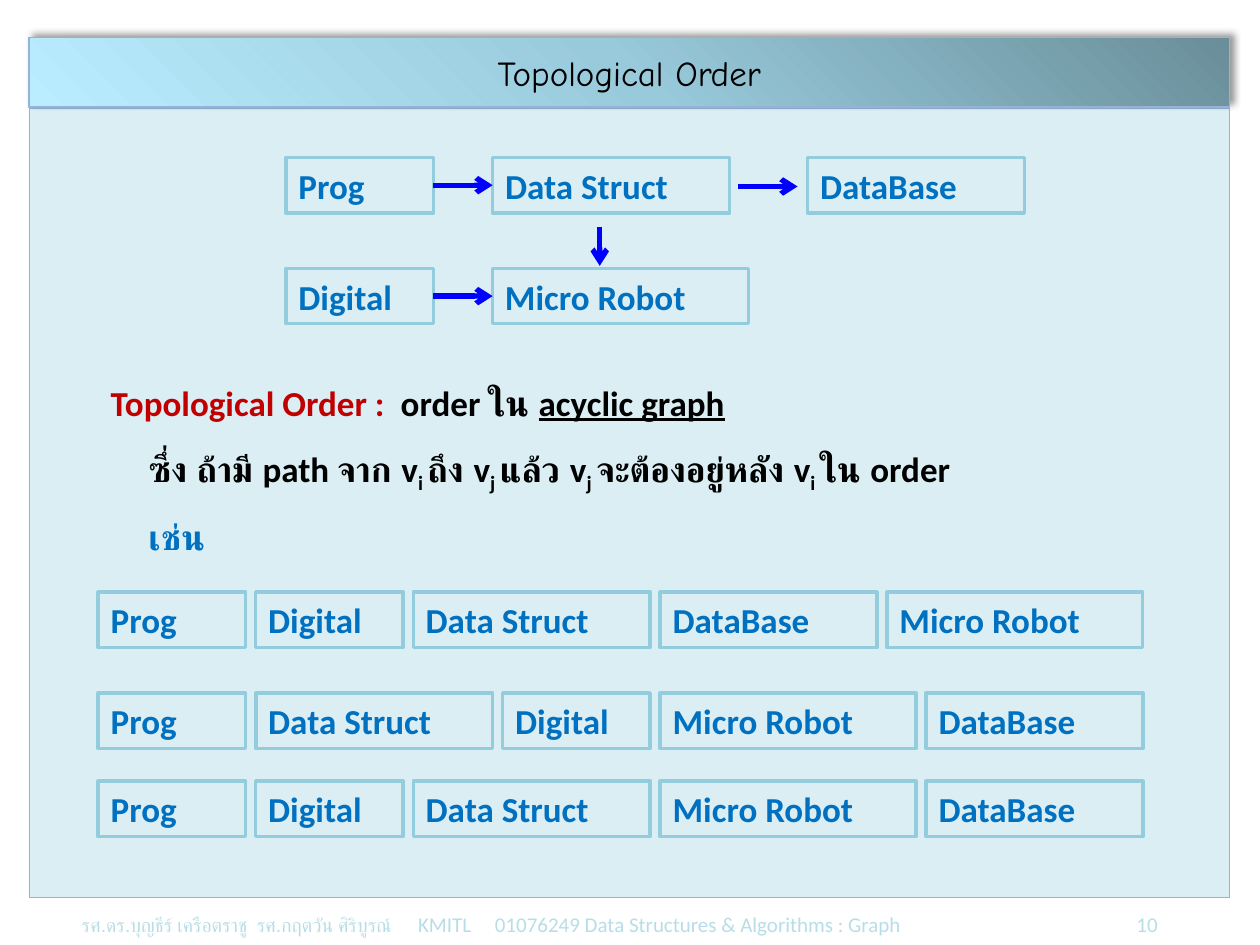
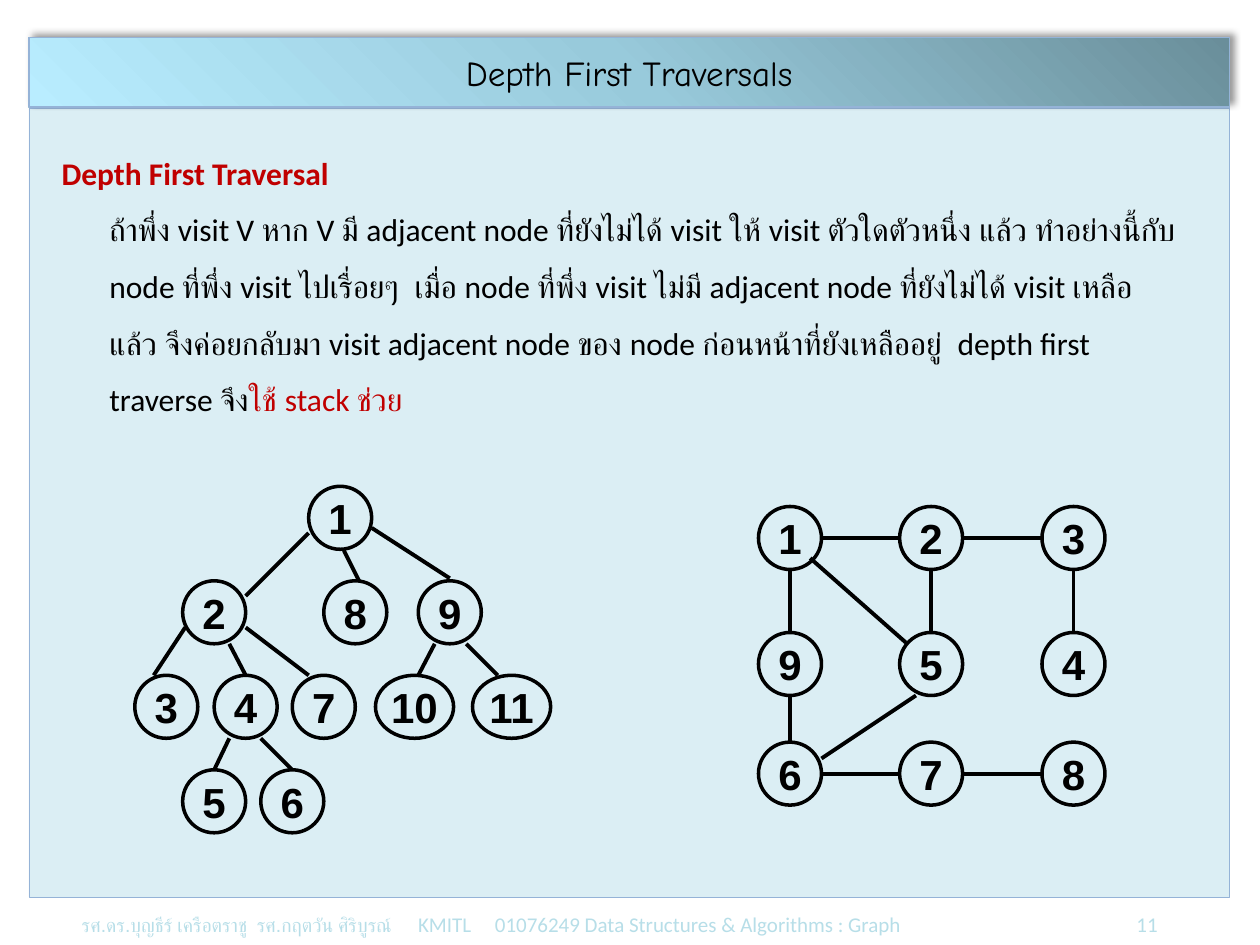
from lxml.etree import SubElement
from pptx import Presentation
from pptx.dml.color import RGBColor
from pptx.enum.shapes import MSO_CONNECTOR as LINK, MSO_SHAPE as SHAPE
from pptx.enum.text import MSO_ANCHOR as ANCHOR, PP_ALIGN as ALIGN
from pptx.oxml.ns import qn
from pptx.util import Pt

EMU_PER_PX = 9144
COLORS = {
    "panel": "DBEEF4", "frame": "95B3D7", "footer": "B7DEE8",
    "band_dark": "6A8E9A", "band_mid": "98CADB", "band_light": "B9EDFF",
    "course_line": "93CDDD", "course": "0070C0", "arrow": "0000FF",
    "term": "C00000", "ink": "000000",
}
COURSE_WIDTHS = {"Prog": 117, "Digital": 117, "Data Struct": 188,
                 "DataBase": 172, "Micro Robot": 203}
COURSE_HEIGHT = 44
COURSE_GAP = 8
NODE = 50
BREAK = None


def px(length):
    """Turn px into EMU."""
    return round(length * EMU_PER_PX)


def rgb(name):
    """Look up a colour by its name."""
    return RGBColor.from_string(COLORS[name])


def child(parent, tag, **attributes):
    """Append one XML element to its parent."""
    return SubElement(parent, qn(tag), {key: str(value) for key, value in attributes.items()})


def add_run(paragraph, text, size, color, font="Calibri", bold=False, underline=False, sub=False):
    """Add one styled run."""
    run = paragraph.add_run()
    run.text = text
    run.font.size = Pt(size)
    run.font.name = font
    run.font.bold = bold
    run.font.underline = underline
    run.font.color.rgb = rgb(color)
    if sub:
        run._r.get_or_add_rPr().set("baseline", "-25000")


def add_outline(slide, kind, left, top, width, height, line, weight, fill=None):
    """Add a preset shape with a plain line and an optional fill."""
    shape = slide.shapes.add_shape(kind, px(left), px(top), px(width), px(height))
    shape.shadow.inherit = False
    if fill:
        shape.fill.solid()
        shape.fill.fore_color.rgb = rgb(fill)
    else:
        shape.fill.background()
    shape.line.color.rgb = rgb(line)
    shape.line.width = Pt(weight)
    return shape


def add_textbox(slide, left, top, width, height):
    """Add a wrapping text box and give back its first paragraph."""
    frame = slide.shapes.add_textbox(px(left), px(top), px(width), px(height)).text_frame
    frame.word_wrap = True
    return frame.paragraphs[0]


def add_title(slide, title):
    """Add the shaded title band."""
    band = add_outline(slide, SHAPE.RECTANGLE, 23, 30, 953, 55, "frame", 0.75)
    properties = band._element.spPr
    properties.remove(properties.find(qn("a:noFill")))
    gradient = child(properties, "a:gradFill", rotWithShape=1)
    properties.find(qn("a:prstGeom")).addnext(gradient)
    stops = child(gradient, "a:gsLst")
    for position, name in ((0, "band_dark"), (50000, "band_mid"), (100000, "band_light")):
        child(child(stops, "a:gs", pos=position), "a:srgbClr", val=COLORS[name])
    child(gradient, "a:lin", ang=135 * 60000, scaled=0)
    shadow = child(properties.find(qn("a:effectLst")), "a:outerShdw", blurRad=Pt(4),
                   dist=Pt(3), dir=315 * 60000, algn="bl", rotWithShape=0)
    child(child(shadow, "a:srgbClr", val=COLORS["ink"]), "a:alpha", val=40000)
    band.text_frame.vertical_anchor = ANCHOR.MIDDLE
    paragraph = band.text_frame.paragraphs[0]
    paragraph.alignment = ALIGN.CENTER
    add_run(paragraph, title, 20, "ink", "Comic Neue")


def add_footer(slide, number):
    """Add the lecturers, the course and the page number."""
    footer = add_textbox(slide, 55, 713, 898, 37)
    tabs = child(footer._p.get_or_add_pPr(), "a:tabLst")
    for position, side in ((267, "l"), (328, "l"), (854, "r")):
        child(tabs, "a:tab", pos=px(position), algn=side)
    add_run(footer, "รศ.ดร.บุญธีร์ เครือตราชู  รศ.กฤตวัน ศิริบูรณ์", 11, "footer", "Arial")
    add_run(footer, "\tKMITL\t01076249 Data Structures & Algorithms : Graph", 12, "footer")
    add_run(footer, "\t", 16, "footer")
    add_run(footer, str(number), 12, "footer")


def add_page(deck, title, number):
    """Add a slide with the shared panel, footer and title."""
    slide = deck.slides.add_slide(deck.slide_layouts[6])
    add_outline(slide, SHAPE.RECTANGLE, 23, 86, 953, 626, "frame", 0.25, "panel")
    add_footer(slide, number)
    add_title(slide, title)
    return slide


def add_definition(slide, bounds, hang, size, parts):
    """Add a definition with a hanging indent from its text parts."""
    paragraph = add_textbox(slide, *bounds)
    properties = paragraph._p.get_or_add_pPr()
    properties.set("marL", str(px(hang)))
    properties.set("indent", str(px(-hang)))
    paragraph.line_spacing = 1.5
    for part in parts:
        if part is BREAK:
            paragraph.add_line_break()
        else:
            text, color, style = part
            add_run(paragraph, text, size, color, **style)


def add_course(slide, name, left, top):
    """Add a framed course name."""
    course = add_outline(slide, SHAPE.RECTANGLE, left, top, COURSE_WIDTHS[name],
                         COURSE_HEIGHT, "course_line", 2)
    course.text_frame.vertical_anchor = ANCHOR.MIDDLE
    paragraph = course.text_frame.paragraphs[0]
    paragraph.alignment = ALIGN.LEFT
    add_run(paragraph, name, 20, "course", bold=True)
    return course


def add_course_order(slide, names, top):
    """Add one row of courses with equal gaps."""
    left = 78
    for name in names:
        add_course(slide, name, left, top)
        left += COURSE_WIDTHS[name] + COURSE_GAP


def add_edge(slide, x1, y1, x2, y2, color="ink", weight=2.25):
    """Add a straight line between two points."""
    edge = slide.shapes.add_connector(LINK.STRAIGHT, px(x1), px(y1), px(x2), px(y2))
    edge.line.color.rgb = rgb(color)
    edge.line.width = Pt(weight)
    child(edge._element.spPr, "a:effectLst")
    return edge


def add_arrow(slide, x1, y1, x2, y2):
    """Add a prerequisite arrow."""
    arrow = add_edge(slide, x1, y1, x2, y2, "arrow", 3)
    child(arrow.line._get_or_add_ln(), "a:tailEnd", type="arrow")
    return arrow


def add_node(slide, label, left, top, width=NODE):
    """Add a numbered graph node."""
    node = add_outline(slide, SHAPE.OVAL, left, top, width, NODE, "ink", 2)
    frame = node.text_frame
    frame.margin_left = frame.margin_right = frame.margin_top = frame.margin_bottom = 0
    frame.word_wrap = False
    frame.vertical_anchor = ANCHOR.MIDDLE
    paragraph = frame.paragraphs[0]
    paragraph.alignment = ALIGN.CENTER
    add_run(paragraph, str(label), 24, "ink", "Arial", bold=True)


def add_prerequisites(slide):
    """Draw the course graph."""
    places = {"Prog": (227, 125), "Data Struct": (391, 125), "Digital": (227, 213),
              "Micro Robot": (391, 213), "DataBase": (641, 125)}
    courses = {name: add_course(slide, name, *place) for name, place in places.items()}
    for first, then in (("Prog", "Data Struct"), ("Digital", "Micro Robot")):
        arrow = add_arrow(slide, 344, 147, 391, 147)
        arrow.begin_connect(courses[first], 3)
        arrow.end_connect(courses[then], 1)
    add_arrow(slide, 586, 148, 633, 148)
    add_arrow(slide, 476, 180, 476, 211)


def add_tree(slide):
    """Draw the depth first tree level by level."""
    levels = (
        ((1, 245),),
        ((2, 145), (8, 257), (9, 332)),
        ((3, 107), (4, 170), (7, 232), (10, 298), (11, 375)),
        ((5, 145), (6, 207)),
    )
    for depth, level in enumerate(levels):
        for label, left in level:
            add_node(slide, label, left, 386 + 75 * depth, 62 if label > 9 else NODE)
    branches = (
        (245, 423, 195, 473), (273, 437, 285, 461), (295, 419, 357, 459),
        (147, 498, 122, 536), (195, 498, 245, 536), (182, 511, 195, 536),
        (345, 511, 332, 536), (370, 511, 395, 536),
        (182, 586, 170, 611), (207, 586, 232, 611),
    )
    for branch in branches:
        add_edge(slide, *branch)


def add_graph(slide):
    """Draw the visited graph on its grid."""
    columns, rows = (602, 714, 827), (402, 502, 589)
    grid = ((1, 2, 3), (9, 5, 4), (6, 7, 8))
    places = {}
    for top, labels in zip(rows, grid):
        for left, label in zip(columns, labels):
            places[label] = left, top
            add_node(slide, label, left, top)
    half = NODE // 2
    for a, b in ((1, 2), (2, 3), (6, 7), (7, 8)):
        middle = places[a][1] + half
        add_edge(slide, places[a][0] + NODE, middle, places[b][0], middle)
    for a, b in ((1, 9), (9, 6), (2, 5), (3, 4)):
        middle = places[a][0] + half
        add_edge(slide, middle, places[a][1] + NODE, middle, places[b][1])
    add_edge(slide, 643, 443, 719, 510)
    add_edge(slide, 727, 552, 652, 602)


def add_topological_order(deck):
    """Build the topological order slide."""
    slide = add_page(deck, "Topological Order", 10)
    bold = {"bold": True}
    sub = {"bold": True, "sub": True}
    add_definition(slide, (78, 281, 803, 162), 30, 20, (
        ("Topological Order :  ", "term", bold),
        ("order ใน ", "ink", bold),
        ("acyclic graph", "ink", {"bold": True, "underline": True}),
        BREAK,
        ("ซึ่ง ถ้ามี path จาก v", "ink", bold), ("i ", "ink", sub),
        ("ถึง v", "ink", bold), ("j ", "ink", sub),
        ("แล้ว v", "ink", bold), ("j ", "ink", sub),
        ("จะต้องอยู่หลัง v", "ink", bold), ("i ", "ink", sub),
        ("ใน order", "ink", bold),
        BREAK,
        ("เช่น", "course", bold),
    ))
    add_prerequisites(slide)
    orders = (
        (470, ("Prog", "Digital", "Data Struct", "DataBase", "Micro Robot")),
        (550, ("Prog", "Data Struct", "Digital", "Micro Robot", "DataBase")),
        (620, ("Prog", "Digital", "Data Struct", "Micro Robot", "DataBase")),
    )
    for top, names in orders:
        add_course_order(slide, names, top)


def add_depth_first(deck):
    """Build the depth first traversal slide."""
    slide = add_page(deck, "Depth First Traversals", 11)
    add_definition(slide, (39, 102, 906, 242), 38, 18, (
        ("Depth First Traversal", "term", {"bold": True}),
        BREAK,
        ("ถ้าพึ่ง visit V หาก V มี adjacent node ที่ยังไม่ได้ visit ให้ visit ตัวใดตัวหนึ่ง แล้ว "
         "ทำอย่างนี้กับ node ที่พึ่ง visit ไปเรื่อยๆ  เมื่อ node ที่พึ่ง visit ไม่มี adjacent node "
         "ที่ยังไม่ได้ visit เหลือแล้ว จึงค่อยกลับมา visit adjacent node ของ node "
         "ก่อนหน้าที่ยังเหลืออยู่  depth first traverse จึง", "ink", {}),
        ("ใช้ stack ช่วย", "term", {}),
    ))
    add_tree(slide)
    add_graph(slide)


def main():
    """Build and save the deck."""
    deck = Presentation()
    deck.slide_width, deck.slide_height = px(1000), px(750)
    add_topological_order(deck)
    add_depth_first(deck)
    deck.save("out.pptx")


if __name__ == "__main__":
    main()
